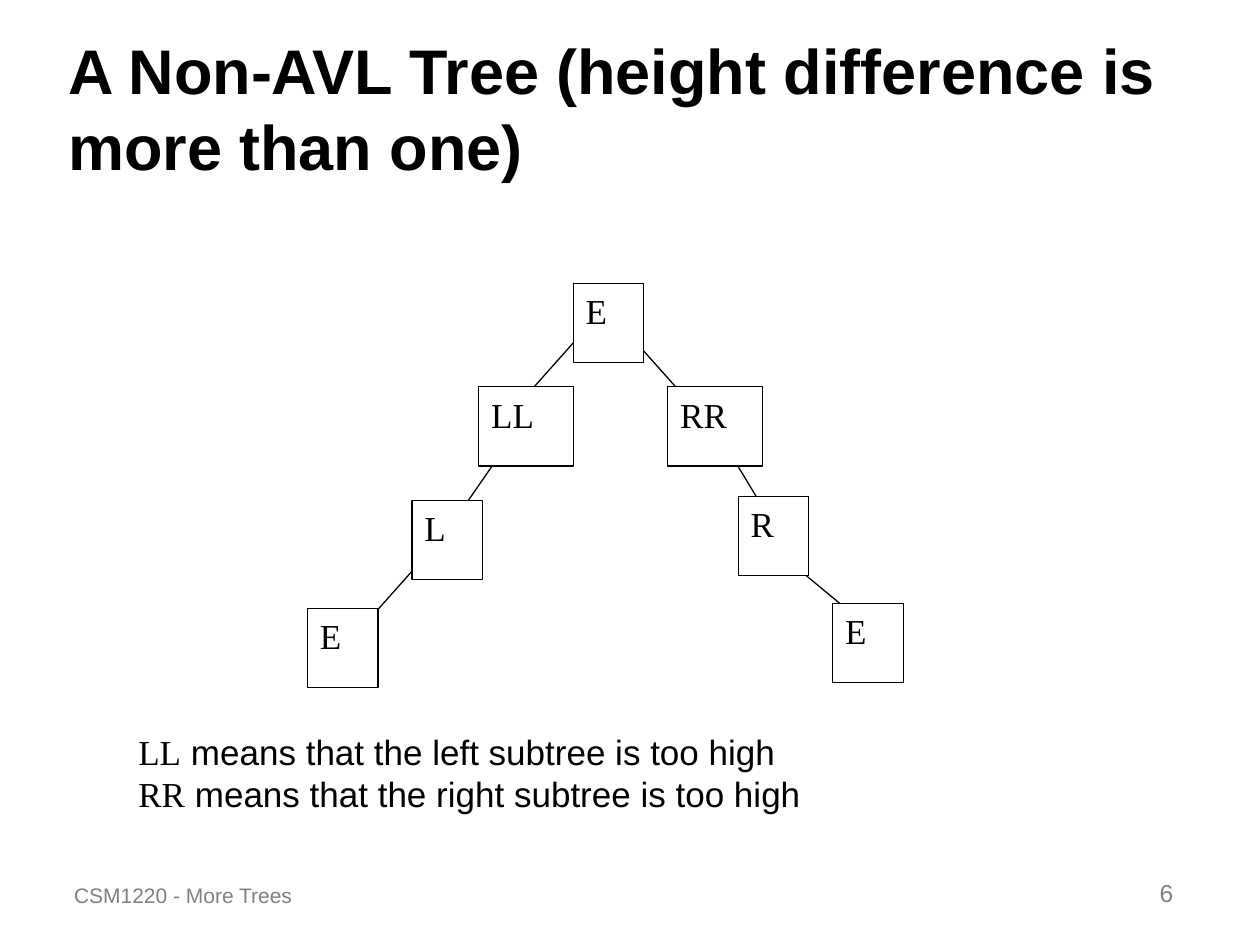
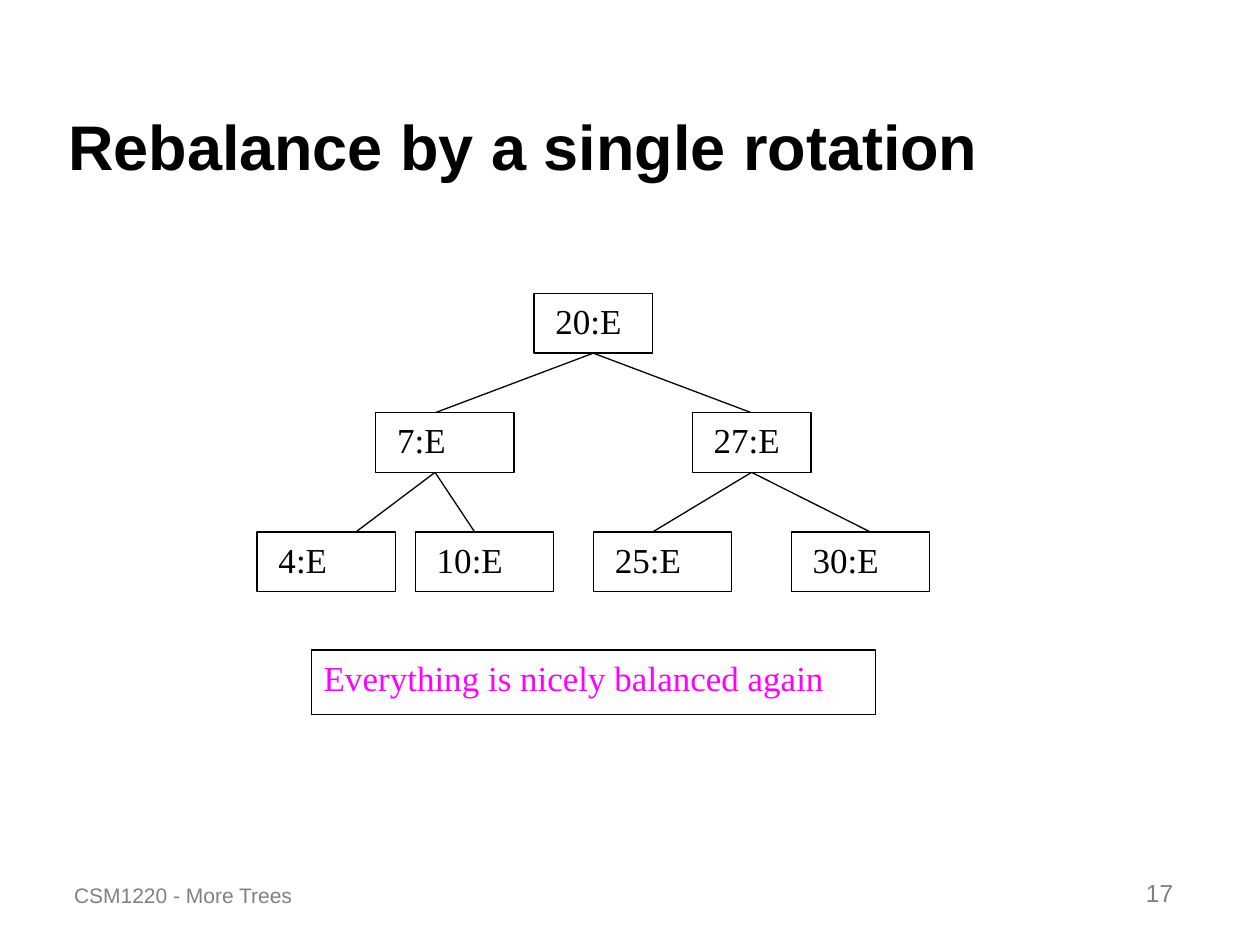
"""Build two slides on AVL tree balance, each a title, a binary tree and a footer."""
import pptx
import pptx.dml.color
import pptx.enum.shapes
import pptx.enum.text
import pptx.oxml.ns
import pptx.util
from lxml import etree

Inches, Pt = pptx.util.Inches, pptx.util.Pt
paint = pptx.dml.color.RGBColor.from_string
Align, Anchor = pptx.enum.text.PP_ALIGN, pptx.enum.text.MSO_ANCHOR
BLACK, WHITE, GREY, MAGENTA = "000000", "FFFFFF", "808080", "FF00FF"
SANS, SERIF = "Arial", "Times New Roman"
LINE_WIDTH = Pt(0.75)
JOIN_TOLERANCE = Inches(0.02)


def write(para, text, size=20, font=SERIF, color=BLACK, bold=False, align=Align.LEFT, before=0):
    para.alignment = align
    para.space_before = Pt(before)
    span = para.add_run()
    span.text = text
    span.font.size, span.font.name, span.font.bold = Pt(size), font, bold
    span.font.color.rgb = paint(color)


def draw_box(page, left, top, width, height, text, indent=0.1, color=BLACK):
    box = page.shapes.add_shape(
        pptx.enum.shapes.MSO_SHAPE.RECTANGLE,
        Inches(left), Inches(top), Inches(width), Inches(height))
    box.shadow.inherit = False
    box.fill.solid()
    box.fill.fore_color.rgb = paint(WHITE)
    box.line.color.rgb = paint(BLACK)
    box.line.width = LINE_WIDTH
    box.text_frame.vertical_anchor = Anchor.TOP
    box.text_frame.margin_left = Inches(indent)
    write(box.text_frame.paragraphs[0], text, color=color)
    return box


slides = [
    {
        "title": "A Non-AVL Tree (height difference is more than one)",
        "number": "6",
        "origin": (0, 0), "cell": (0.1, 0.1), "node_rows": 6.3, "indent": 0.1,
        "edges": [
            (48, 24.4, 42.4, 30.7), (40.5, 34.9, 35.8, 41.7), (33, 45, 25.6, 53.3),
            (48, 24.4, 55.5, 32.8), (57.3, 34.9, 61.1, 41.2), (61.1, 43.3, 68.6, 49.5),
        ],
        "nodes": [
            ("E", 45.5, 22.5, 5.6), ("LL", 38, 30.7, 7.5), ("L", 32.7, 39.7, 5.6),
            ("E", 24.4, 48.3, 5.6), ("R", 58.6, 39.4, 5.6), ("E", 66.1, 47.9, 5.6),
            ("RR", 53, 30.7, 7.5),
        ],
    },
    {
        "title": "Rebalance by a single rotation",
        "number": "17",
        "origin": (2.04, 2.33), "cell": (0.157, 0.473), "node_rows": 1, "indent": 0.17,
        "edges": [
            (17, 1, 25, 2), (17, 1, 9, 2), (25, 3, 20, 4),
            (25, 3, 31, 4), (9, 3, 5, 4), (9, 3, 11, 4),
        ],
        "nodes": [
            ("7:E", 6, 2, 7), ("20:E", 14, 0, 6), ("27:E", 22, 2, 6), ("25:E", 17, 4, 7),
            ("30:E", 27, 4, 7), ("4:E", 0, 4, 7), ("10:E", 8, 4, 7),
        ],
    },
]

deck = pptx.Presentation()
deck.slide_width, deck.slide_height = Inches(10), Inches(7.5)
pages = []

for content in slides:
    page = deck.slides.add_slide(deck.slide_layouts[5])
    pages.append(page)

    title = page.shapes.title
    title.left, title.top, title.width, title.height = map(Inches, (0.44, 0.25, 9.06, 1.25))
    title.text_frame.vertical_anchor = Anchor.BOTTOM
    title.text_frame.auto_size = pptx.enum.text.MSO_AUTO_SIZE.NONE
    write(title.text_frame.paragraphs[0], content["title"], size=36, font=SANS, bold=True)

    left, top = content["origin"]
    column, row = content["cell"]
    edges = []
    for start_column, start_row, end_column, end_row in content["edges"]:
        edge = page.shapes.add_connector(
            pptx.enum.shapes.MSO_CONNECTOR.STRAIGHT,
            Inches(left + start_column * column), Inches(top + start_row * row),
            Inches(left + end_column * column), Inches(top + end_row * row))
        edge.line.color.rgb = paint(BLACK)
        edge.line.width = LINE_WIDTH
        etree.SubElement(edge._element.spPr, pptx.oxml.ns.qn("a:effectLst"))
        edges.append(edge)

    for text, node_column, node_row, columns in content["nodes"]:
        node = draw_box(
            page, left + node_column * column, top + node_row * row,
            columns * column, content["node_rows"] * row, text, indent=content["indent"])
        middle, bottom = node.left + node.width / 2, node.top + node.height
        for edge in edges:
            if max(abs(edge.begin_x - middle), abs(edge.begin_y - bottom)) < JOIN_TOLERANCE:
                edge.begin_connect(node, 2)
            if max(abs(edge.end_x - middle), abs(edge.end_y - node.top)) < JOIN_TOLERANCE:
                edge.end_connect(node, 0)

    for text, footer_left, width, size, align, before in [
        ("CSM1220 - More Trees", 0.49, 3, 12, Align.LEFT, 7.5),
        (content["number"], 7.33, 2.08, 14, Align.RIGHT, 8.8),
    ]:
        footer = page.shapes.add_textbox(
            Inches(footer_left), Inches(6.75), Inches(width), Inches(0.5))
        footer.text_frame.word_wrap = True
        footer.text_frame.vertical_anchor = Anchor.BOTTOM
        write(footer.text_frame.paragraphs[0], text, size=size, font=SANS,
              color=GREY, align=align, before=before)

unbalanced_page, balanced_page = pages

legend = unbalanced_page.shapes.add_textbox(Inches(1), Inches(5.75), Inches(8.17), Inches(0.77))
legend.text_frame.word_wrap = True
para = legend.text_frame.paragraphs[0]
for label, side in [("LL", "left"), ("RR", "right")]:
    if para.runs:
        para.add_line_break()
    write(para, label, before=12.5)
    write(para, f" means that the {side} subtree is too high", font=SANS, before=12.5)

draw_box(balanced_page, 2.47, 5.16, 4.48, 0.51,
         "Everything is nicely balanced again", color=MAGENTA)

deck.save("out.pptx")
